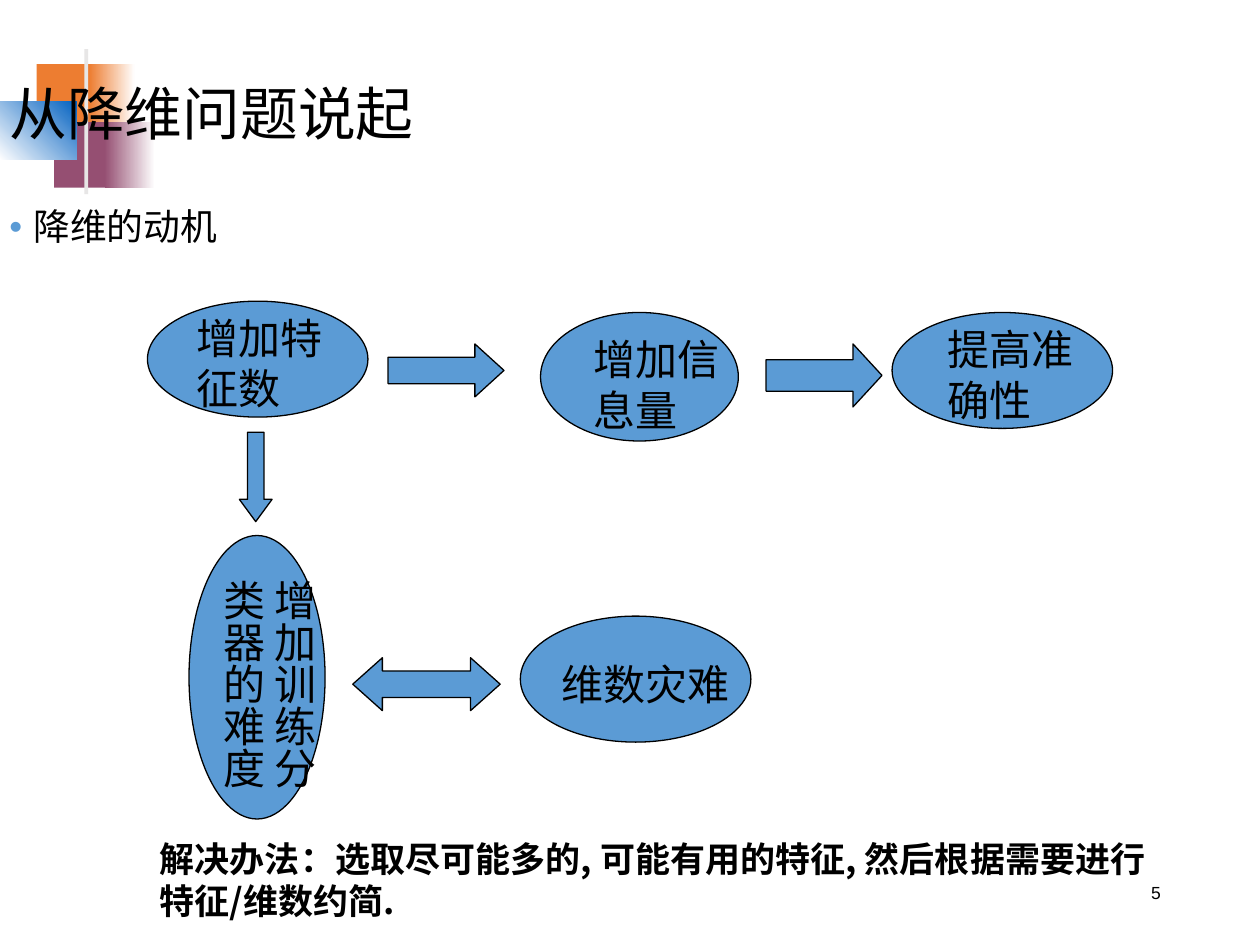
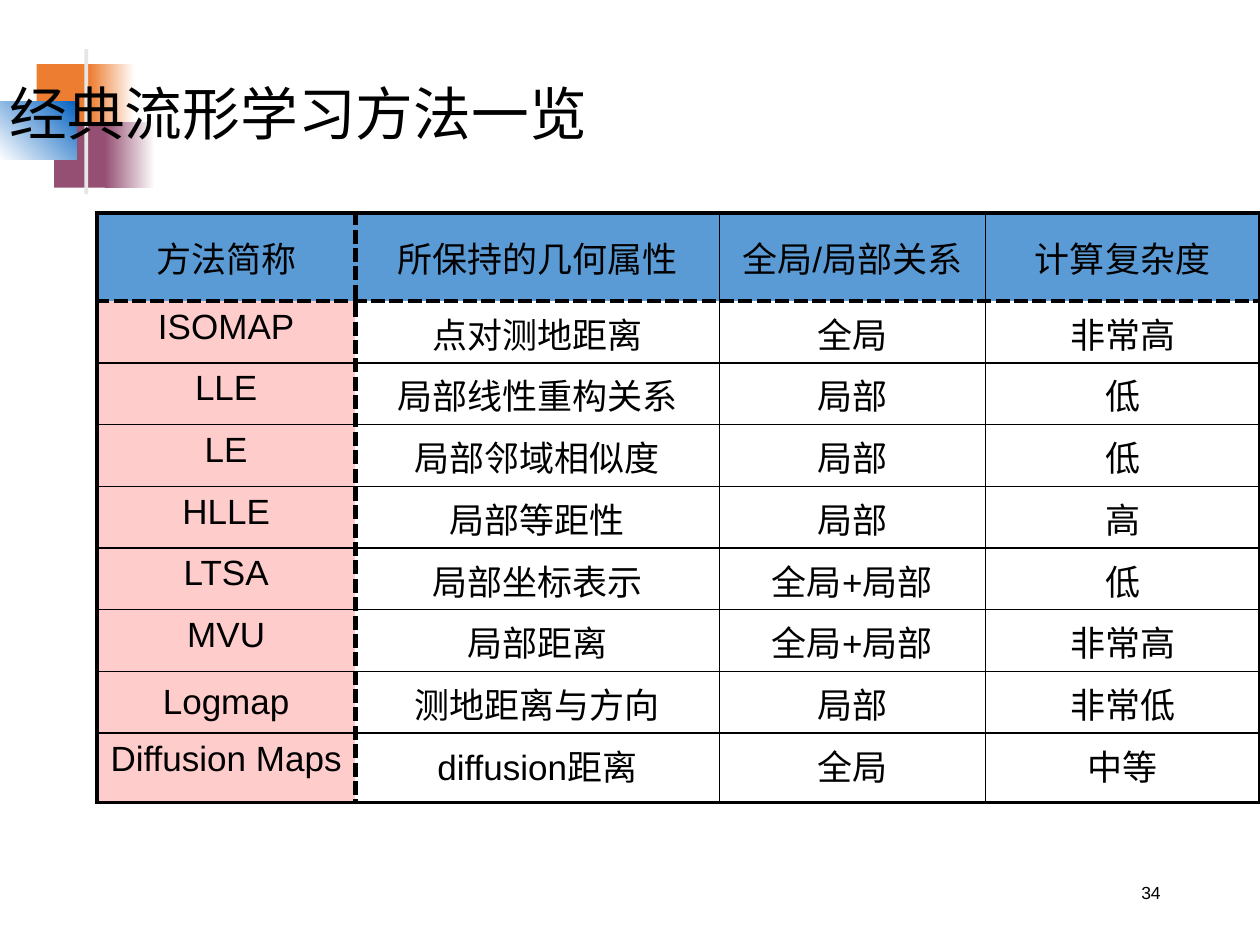
"""Build two lecture slides on dimensionality reduction and manifold learning."""
from lxml.etree import SubElement
from pptx import Presentation
from pptx.dml.color import RGBColor
from pptx.enum.shapes import MSO_SHAPE
from pptx.enum.text import MSO_ANCHOR, PP_ALIGN
from pptx.oxml.ns import qn
from pptx.util import Inches, Pt

COLUMNS, ROWS = 100, 75
WIDTH, HEIGHT = Inches(10), Inches(7.5)
TITLE_ONLY = 5

BLACK = RGBColor(0x00, 0x00, 0x00)
WHITE = RGBColor(0xFF, 0xFF, 0xFF)
BLUE = RGBColor(0x5B, 0x9B, 0xD5)
PINK = RGBColor(0xFF, 0xCC, 0xCC)
ORANGE = RGBColor(0xED, 0x7D, 0x31)
PLUM = RGBColor(0x95, 0x4F, 0x72)
DEEP_BLUE = RGBColor(0x05, 0x63, 0xC1)
GREY = RGBColor(0xE7, 0xE6, 0xE6)

HAN_FONT = "Noto Sans CJK SC"
FLOW_PITCH = 1.2

ORNAMENT = [
    ((2.9, 5.1, 4.8, 5.2), ORANGE, None, 0),
    ((7.1, 5.1, 3.6, 5.2), ORANGE, WHITE, 0),
    ((4.3, 9.7, 4.6, 5.2), PLUM, None, 0),
    ((8.3, 9.7, 4, 5.2), PLUM, WHITE, 0),
    ((0, 8.1, 6.1, 4.6), WHITE, DEEP_BLUE, 45),
    ((6.7, 3.9, 0.3, 11.5), GREY, None, 0),
]

IDEAS = [
    ("增加特征数", (11.7, 23.9, 17.5, 9.2), (14.6, 23.9, 15, 9), False),
    ("增加信息量", (42.9, 24.8, 15.7, 10.2), (46.1, 25.6, 13.3, 9), False),
    ("提高准确性", (70.8, 24.8, 17.5, 9.2), (74.2, 24.8, 13.3, 9), False),
    ("增加训练分类器的难度", (15, 42.5, 10.8, 22.5), (15.8, 45, 10, 20), True),
    ("维数灾难", (41.3, 48.9, 18.3, 10), (43.6, 51.4, 15.8, 5), False),
]

ARROWS = [
    (MSO_SHAPE.RIGHT_ARROW, (30.8, 27.3, 9.2, 4.2), 0.55),
    (MSO_SHAPE.RIGHT_ARROW, (60.8, 27.3, 9.2, 5), 0.46),
    (MSO_SHAPE.DOWN_ARROW, (19, 34.3, 2.6, 7.1), 0.68),
    (MSO_SHAPE.LEFT_RIGHT_ARROW, (28, 52.2, 11.7, 4.2), 0.56),
]

METHODS = [
    ("方法简称", "所保持的几何属性", "全局/局部关系", "计算复杂度"),
    ("ISOMAP", "点对测地距离", "全局", "非常高"),
    ("LLE", "局部线性重构关系", "局部", "低"),
    ("LE", "局部邻域相似度", "局部", "低"),
    ("HLLE", "局部等距性", "局部", "高"),
    ("LTSA", "局部坐标表示", "全局+局部", "低"),
    ("MVU", "局部距离", "全局+局部", "非常高"),
    ("Logmap", "测地距离与方向", "局部", "非常低"),
    ("Diffusion Maps", "diffusion距离", "全局", "中等"),
]
METHOD_COLUMNS = (20.5, 28.9, 21.1, 21.8)
METHOD_ROWS = (7, *[4.9] * 7, 5.5)
MIDDLE_ROWS = (0, 7)

OUTER, INNER, DASHED = (2.25, None), (1, None), (3, "sysDash")


def across(columns):
    """Return the length of a number of grid columns."""
    return int(WIDTH * columns / COLUMNS)


def down(rows):
    """Return the length of a number of grid rows."""
    return int(HEIGHT * rows / ROWS)


def place(area):
    """Turn a grid area into left, top, width and height."""
    left, top, width, height = area
    return across(left), down(top), across(width), down(height)


def write(frame, text, size, font="Calibri", bold=False, align=PP_ALIGN.LEFT,
          anchor=None, spacing=None, bullet=None):
    """Fill a text frame with one formatted paragraph."""
    frame.word_wrap = True
    if anchor is not None:
        frame.vertical_anchor = anchor
    para = frame.paragraphs[0]
    para.alignment = align
    if spacing:
        para.line_spacing = spacing
    if bullet is not None:
        add_bullet(para, bullet)
    span = para.add_run()
    span.text = text
    span.font.size = Pt(size)
    span.font.bold = bold
    span.font.color.rgb = BLACK
    span.font.name = font
    SubElement(span.font._element, qn("a:ea"), typeface=HAN_FONT)


def add_bullet(para, color):
    """Give a paragraph a coloured round bullet and a hanging indent."""
    properties = para._p.get_or_add_pPr()
    properties.set("marL", str(across(1.9)))
    properties.set("indent", str(-across(1.9)))
    holder = SubElement(properties, qn("a:buClr"))
    SubElement(holder, qn("a:srgbClr"), val=str(color))
    SubElement(properties, qn("a:buFont"), typeface="Arial")
    SubElement(properties, qn("a:buChar"), char="•")


def add_text(page, area, text, inset=None, vertical=False, **style):
    """Add a text box, with an optional top inset or vertical direction."""
    box = page.shapes.add_textbox(*place(area))
    if inset is not None:
        box.text_frame.margin_top = down(inset)
    if vertical:
        box.element.find(".//" + qn("a:bodyPr")).set("vert", "eaVert")
    write(box.text_frame, text, **style)
    return box


def add_figure(page, kind, area, head=None):
    """Add a blue outlined shape, with an arrow head length if given."""
    figure = page.shapes.add_shape(kind, *place(area))
    figure.shadow.inherit = False
    figure.fill.solid()
    figure.fill.fore_color.rgb = BLUE
    figure.line.color.rgb = BLACK
    figure.line.width = Pt(0.75)
    if head:
        figure.adjustments[0] = 0.5
        figure.adjustments[1] = head


def add_ornament(page):
    """Draw the corner ornament and move it to the slide master."""
    group = page.shapes.add_group_shape()
    for area, start, end, angle in ORNAMENT:
        tile = group.shapes.add_shape(MSO_SHAPE.RECTANGLE, *place(area))
        tile.shadow.inherit = False
        tile.line.fill.background()
        if end is None:
            tile.fill.solid()
            tile.fill.fore_color.rgb = start
        else:
            tile.fill.gradient()
            tile.fill.gradient_angle = angle
            for stop, color in zip(tile.fill.gradient_stops, (start, end)):
                stop.color.rgb = color
    for number, node in enumerate(group.element.iter(qn("p:cNvPr")), 100):
        node.set("id", str(number))
    page.slide_layout.slide_master.shapes.element.insert(2, group.element)


def add_page(deck, title, number):
    """Add a slide with its title and slide number."""
    page = deck.slides.add_slide(deck.slide_layouts[TITLE_ONLY])
    heading = page.shapes.title
    heading.left, heading.top, heading.width, heading.height = place((0, 3, 90, 12.5))
    heading.text_frame.margin_left = across(0.75)
    write(heading.text_frame, title, size=33, anchor=MSO_ANCHOR.MIDDLE, spacing=0.9)
    add_text(page, (70.6, 69.5, 22.5, 4), number, size=10, font="Arial",
             align=PP_ALIGN.RIGHT)
    return page


def add_border(cell, side, width, dash):
    """Draw one black edge of a table cell."""
    edge = SubElement(cell._tc.get_or_add_tcPr(), qn("a:ln" + side),
                      w=str(Pt(width)))
    fill = SubElement(edge, qn("a:solidFill"))
    SubElement(fill, qn("a:srgbClr"), val=str(BLACK))
    if dash:
        SubElement(edge, qn("a:prstDash"), val=dash)


def edge_style(index, count):
    """Choose the border style of a grid line by its position."""
    if index in (0, count):
        return OUTER
    return DASHED if index == 1 else INNER


def add_methods(page):
    """Add the table that compares the manifold learning methods."""
    rows, columns = len(METHOD_ROWS), len(METHOD_COLUMNS)
    area = (7.7, 16.9, sum(METHOD_COLUMNS), sum(METHOD_ROWS))
    table = page.shapes.add_table(rows, columns, *place(area)).table
    table.first_row = table.horz_banding = False
    for column, width in zip(table.columns, METHOD_COLUMNS):
        column.width = across(width)
    for row, height in zip(table.rows, METHOD_ROWS):
        row.height = down(height)
    for y, texts in enumerate(METHODS):
        anchor = MSO_ANCHOR.MIDDLE if y in MIDDLE_ROWS else MSO_ANCHOR.TOP
        for x, text in enumerate(texts):
            cell = table.cell(y, x)
            cell.vertical_anchor = anchor
            write(cell.text_frame, text, size=20, font="Arial",
                  align=PP_ALIGN.CENTER)
            add_border(cell, "L", *edge_style(x, columns))
            add_border(cell, "R", *edge_style(x + 1, columns))
            add_border(cell, "T", *edge_style(y, rows))
            add_border(cell, "B", *edge_style(y + 1, rows))
            if y and x:
                cell.fill.background()
            else:
                cell.fill.solid()
                cell.fill.fore_color.rgb = PINK if y else BLUE


def add_flow(page):
    """Draw the ideas in ellipses and the arrows that link them."""
    for kind, area, head in ARROWS:
        add_figure(page, kind, area, head)
    for text, bubble, label, vertical in IDEAS:
        add_figure(page, MSO_SHAPE.OVAL, bubble)
        add_text(page, label, text, inset=None if vertical else 0.9,
                 vertical=vertical, size=24, font="Times New Roman",
                 spacing=Pt(24 * FLOW_PITCH))


def main():
    """Build and save the deck."""
    deck = Presentation()
    deck.slide_width, deck.slide_height = WIDTH, HEIGHT

    motive = add_page(deck, "从降维问题说起", "5")
    add_ornament(motive)
    topic = add_text(motive, (0, 16.2, 89.9, 49.5), "降维的动机", inset=0.4,
                     size=21, spacing=0.9, bullet=BLUE)
    topic.text_frame.margin_left = across(0.75)
    add_flow(motive)
    add_text(motive, (11.7, 65.7, 82.5, 7.7),
             "解决办法：选取尽可能多的, 可能有用的特征, 然后根据需要进行特征/维数约简.",
             inset=0.8, size=20, font=HAN_FONT, bold=True,
             spacing=Pt(20 * FLOW_PITCH))

    overview = add_page(deck, "经典流形学习方法一览", "34")
    add_methods(overview)
    deck.save("out.pptx")


if __name__ == "__main__":
    main()
